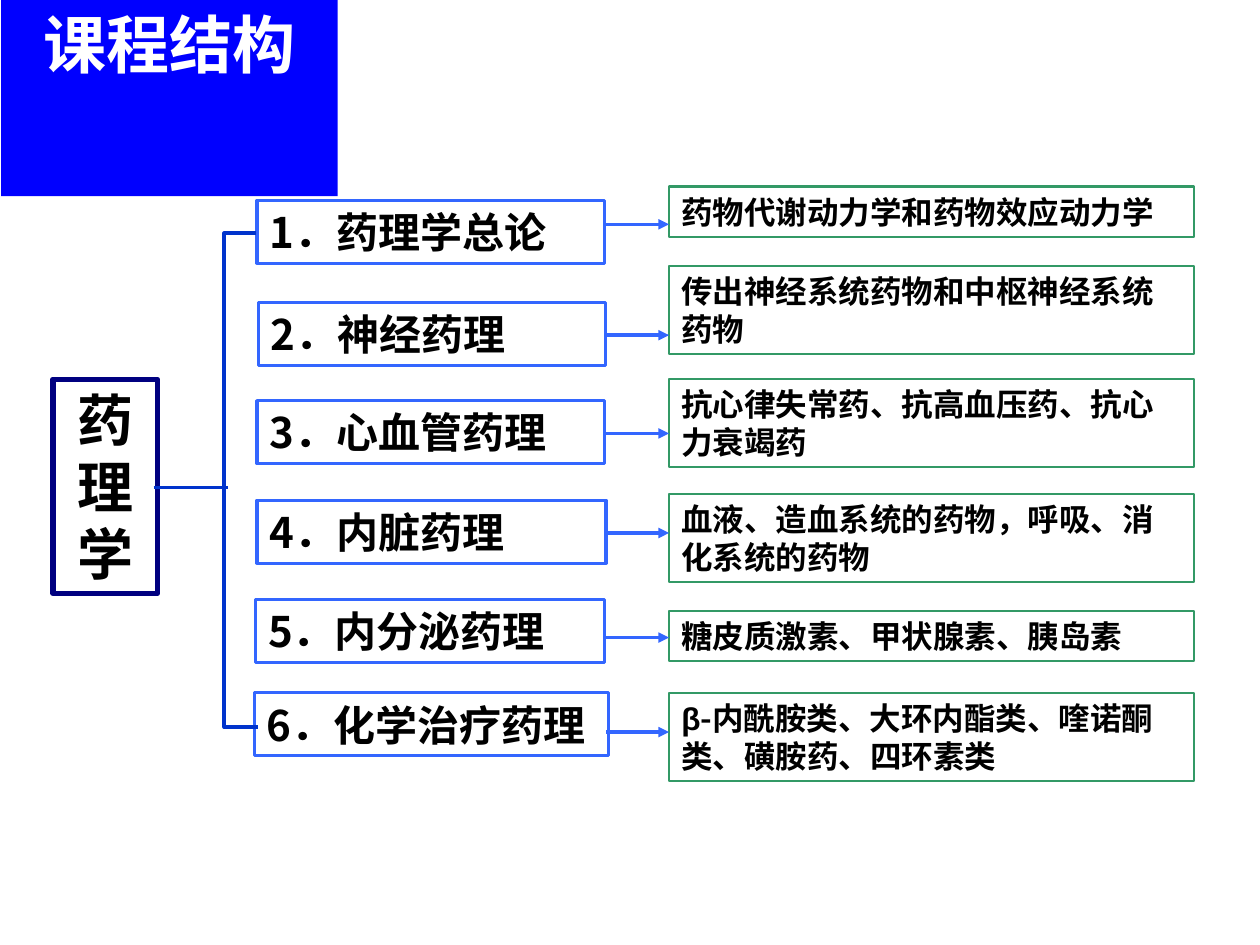
from dataclasses import dataclass

from lxml.etree import SubElement
from pptx import Presentation
from pptx.dml.color import RGBColor
from pptx.enum.shapes import MSO_CONNECTOR as Connector, MSO_SHAPE as Preset
from pptx.enum.text import MSO_ANCHOR as Anchor, MSO_AUTO_SIZE as AutoSize, PP_ALIGN as Align
from pptx.oxml.ns import qn
from pptx.util import Inches, Pt

CJK_FONT = "Noto Sans CJK SC"
NAVY, BLUE, SPINE_BLUE, GREEN = "000080", "3366FF", "0033CC", "339966"
TOPIC_HEIGHT = 0.5
DETAIL_LEFT, DETAIL_WIDTH = 5.31, 4.17
SPINE_X = 1.78


@dataclass
class Branch:
    topic: str
    left: float
    top: float
    width: float
    detail: str
    detail_top: float
    detail_height: float
    arrow_y: float
    prefix: str = ""
    detail_anchor: Anchor = Anchor.MIDDLE
    topic_wraps: bool = True


BRANCHES = [
    Branch("1．药理学总论", 2.04, 1.59, 2.76, "药物代谢动力学和药物效应动力学",
           1.48, 0.4, 1.78, detail_anchor=Anchor.TOP),
    Branch("2．神经药理", 2.05, 2.4, 2.76, "传出神经系统药物和中枢神经系统药物",
           2.11, 0.7, 2.66),
    Branch("3．心血管药理", 2.04, 3.18, 2.76, "抗心律失常药、抗高血压药、抗心力衰竭药",
           3.01, 0.7, 3.44),
    Branch("4．内脏药理", 2.04, 3.97, 2.77, "血液、造血系统的药物，呼吸、消化系统的药物",
           3.92, 0.7, 4.23),
    Branch("5．内分泌药理", 2.03, 4.76, 2.77, "糖皮质激素、甲状腺素、胰岛素",
           4.85, 0.4, 5.06),
    Branch("6．化学治疗药理", 2.02, 5.5, 2.81,
           "-内酰胺类、大环内酯类、喹诺酮类、磺胺药、四环素类",
           5.5, 0.7, 5.81, prefix="β", topic_wraps=False),
]


def color(value: str) -> RGBColor:
    return RGBColor.from_string(value)


def add_run(paragraph, text: str, size: float, ink: str, font_name: str = CJK_FONT) -> None:
    run = paragraph.add_run()
    run.text = text
    for name, value in {"size": Pt(size), "bold": True, "name": font_name}.items():
        setattr(run.font, name, value)
    run.font.color.rgb = color(ink)
    SubElement(run.font._element, qn("a:ea"), typeface=font_name)


def write(shape, text: str, size: float, ink: str = "000000", align=Align.LEFT,
          anchor=Anchor.TOP, wraps: bool = True, prefix: str = "") -> None:
    frame = shape.text_frame
    settings = {
        "word_wrap": wraps, "auto_size": AutoSize.SHAPE_TO_FIT_TEXT, "vertical_anchor": anchor,
        "margin_left": Inches(0.1), "margin_right": Inches(0.1),
        "margin_top": Inches(0.05), "margin_bottom": Inches(0.05),
    }
    for name, value in settings.items():
        setattr(frame, name, value)
    paragraph = frame.paragraphs[0]
    paragraph.alignment = align
    if prefix:
        add_run(paragraph, prefix, size, ink, "Arial")
    add_run(paragraph, text, size, ink)


def add_box(slide, left: float, top: float, width: float, height: float,
            outline: str, line_width: float):
    shape = slide.shapes.add_shape(
        Preset.RECTANGLE, Inches(left), Inches(top), Inches(width), Inches(height))
    shape.shadow.inherit = False
    shape.fill.background()
    shape.line.color.rgb = color(outline)
    shape.line.width = Pt(line_width)
    return shape


def add_line(slide, x1: float, y1: float, x2: float, y2: float, ink: str,
             kind=Connector.STRAIGHT, arrow: bool = False):
    line = slide.shapes.add_connector(kind, Inches(x1), Inches(y1), Inches(x2), Inches(y2))
    line.line.color.rgb = color(ink)
    line.line.width = Pt(2)
    properties = line._element.spPr
    if arrow:
        SubElement(properties.find(qn("a:ln")), qn("a:tailEnd"), type="triangle")
    SubElement(properties, qn("a:effectLst"))
    return line


def add_spine(slide, x1: float, y1: float, x2: float, y2: float) -> None:
    """Bracket whose vertical part runs at SPINE_X, left of both ends."""
    spine = add_line(slide, x1, y1, x2, y2, SPINE_BLUE, Connector.ELBOW)
    geometry = spine._element.spPr.find(qn("a:prstGeom"))
    guides = geometry.find(qn("a:avLst"))
    if guides is None:
        guides = SubElement(geometry, qn("a:avLst"))
    bend = round((SPINE_X - x1) / (x2 - x1) * 100000)
    SubElement(guides, qn("a:gd"), name="adj1", fmla=f"val {bend}")


def add_title(slide, text: str) -> None:
    title = slide.shapes.title
    place = {"left": 0.01, "top": -0.01, "width": 2.67, "height": 0.7}
    for name, value in place.items():
        setattr(title, name, Inches(value))
    title.fill.solid()
    title.fill.fore_color.rgb = color("0000FF")
    write(title, text, 36, "FFFFFF", Align.CENTER)


def main() -> None:
    presentation = Presentation()
    presentation.slide_width, presentation.slide_height = Inches(10), Inches(7.5)
    slide = presentation.slides.add_slide(presentation.slide_layouts[5])
    add_title(slide, "课程结构")

    # Root of the tree
    root = add_box(slide, 0.42, 3.01, 0.83, 1.7, NAVY, 3)
    write(root, "药理学", 32, align=Align.CENTER)

    # Topics
    for branch in BRANCHES:
        topic = add_box(slide, branch.left, branch.top, branch.width, TOPIC_HEIGHT, BLUE, 1.75)
        write(topic, branch.topic, 24, wraps=branch.topic_wraps)

    # Bracket from the root to the first and last topics
    add_spine(slide, 2.03, 1.85, 2.05, 5.77)
    add_line(slide, 1.22, 3.87, 1.81, 3.87, SPINE_BLUE)

    # Details, each with an arrow from its topic
    for branch in BRANCHES:
        detail = add_box(slide, DETAIL_LEFT, branch.detail_top, DETAIL_WIDTH,
                         branch.detail_height, GREEN, 1.25)
        write(detail, branch.detail, 18, anchor=branch.detail_anchor, prefix=branch.prefix)
        add_line(slide, DETAIL_LEFT - 0.5, branch.arrow_y, DETAIL_LEFT, branch.arrow_y,
                 BLUE, arrow=True)

    presentation.save("out.pptx")


if __name__ == "__main__":
    main()
